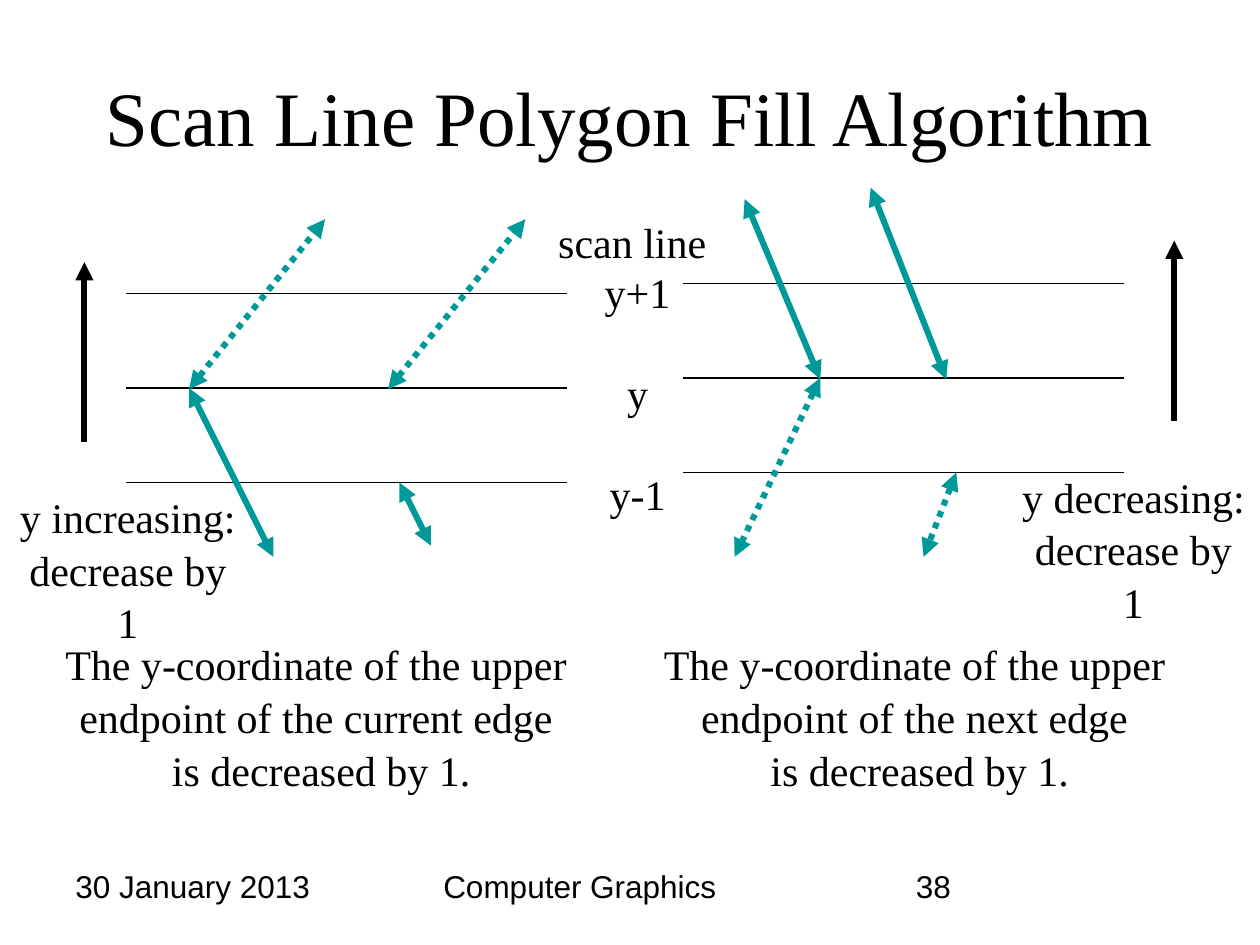
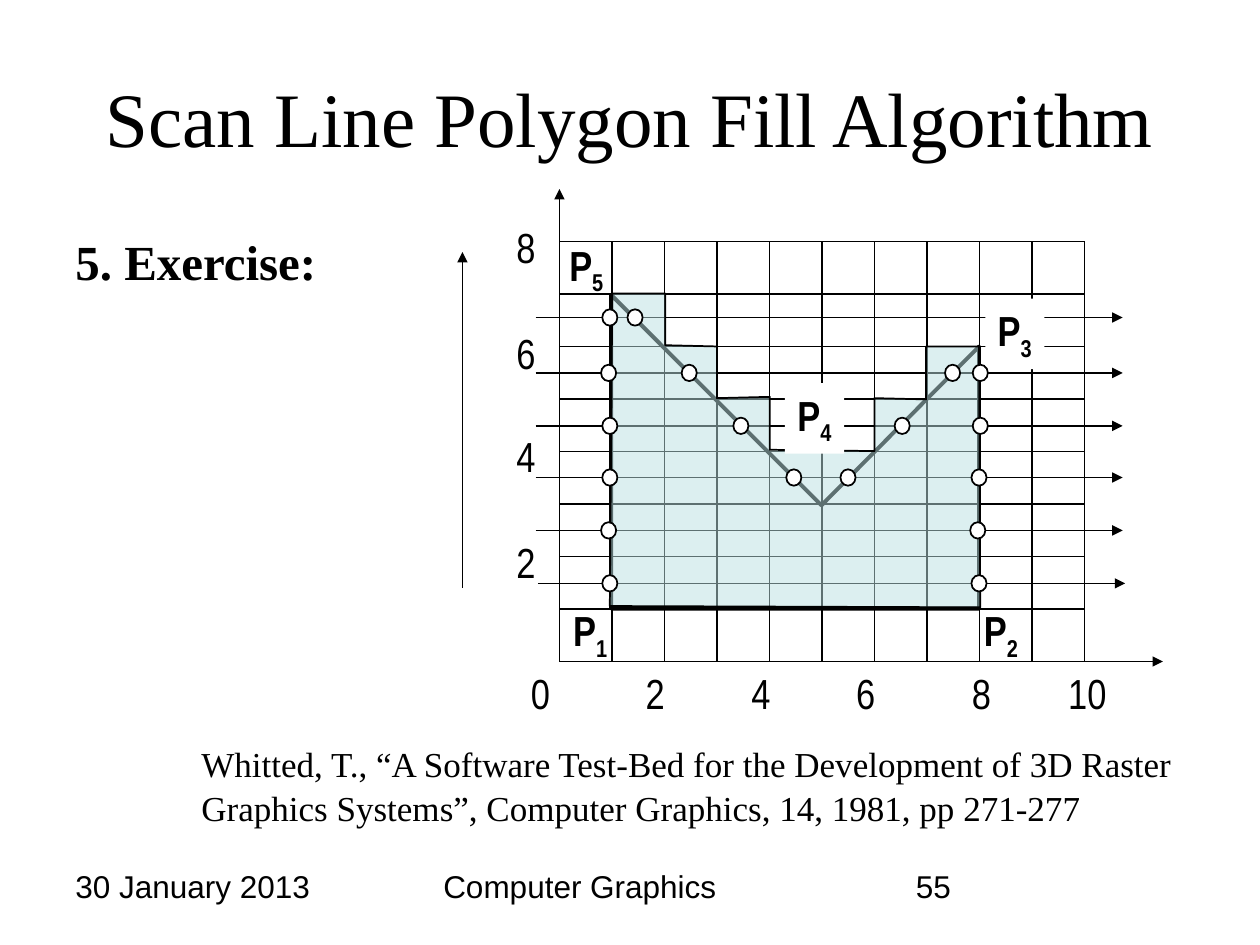
from lxml import etree
from pptx import Presentation
from pptx.dml.color import RGBColor
from pptx.enum.dml import MSO_LINE
from pptx.enum.shapes import MSO_CONNECTOR, MSO_SHAPE
from pptx.enum.text import MSO_ANCHOR, PP_ALIGN
from pptx.oxml.ns import qn
from pptx.util import Inches, Pt

LEFT, CENTER = PP_ALIGN.LEFT, PP_ALIGN.CENTER
DOTTED = MSO_LINE.ROUND_DOT
BLACK = RGBColor(0x00, 0x00, 0x00)
WHITE = RGBColor(0xFF, 0xFF, 0xFF)
TEAL = RGBColor(0x00, 0x99, 0x99)
PALE_TEAL = RGBColor(0xBB, 0xE0, 0xE3)
SERIF, SANS, NARROW = "Times New Roman", "Arial", "Arial Narrow"

# Shared content
TITLE = "Scan Line Polygon Fill Algorithm"
DATE, COURSE = "30 January 2013", "Computer Graphics"

# Slide 1: edges as (from, to, dotted)
SCAN_LINES = [(1, 2.33), (5.42, 2.25)]  # left end of the top line in each half
SCAN_LENGTH, SCAN_GAP = 3.5, 0.75
EDGES = [
    ((1.5, 3.08), (2.17, 4.42), False),
    ((3.17, 3.83), (3.42, 4.33), False),
    ((1.5, 3.09), (2.58, 1.74), True),
    ((3.08, 3.09), (4.17, 1.74), True),
    ((6.51, 3.01), (5.91, 1.58), False),
    ((7.59, 3.75), (7.33, 4.42), True),
    ((6.51, 3), (5.83, 4.42), True),
    ((7.51, 3.01), (6.91, 1.49), False),
]
DIRECTIONS = [((0.67, 3.51), (0.67, 2.08)), ((9.32, 3.34), (9.32, 1.91))]
SCAN_LABELS = [("scan line ", 0), ("y+1", 1), ("y", 3), ("y-1", 5)]
LABEL_TOP, LABEL_PITCH = 1.67, 0.4
NOTES = [
    ("y increasing:\ndecrease by 1", (0.01, 3.83, 2.01, 0.9)),
    ("y decreasing:\ndecrease by 1", (7.99, 3.67, 2.01, 0.9)),
    ("The y-coordinate of the upper \nendpoint of the current edge \n"
     "is decreased by 1.", (0.42, 5, 4.26, 1.3)),
    ("The y-coordinate of the upper \nendpoint of the next edge \n"
     "is decreased by 1.", (5.17, 5, 4.26, 1.3)),
]

# Slide 2
EXERCISE = "5. Exercise:"
CITATION = ("Whitted, T., “A Software Test-Bed for the Development of 3D Raster "
            "Graphics Systems”, Computer Graphics, 14, 1981, pp 271-277")
ORIGIN_X, ORIGIN_Y, COLUMNS, ROWS = 4.44, 5.25, 10, 8
UNIT = 5 / 12
X_LABELS = [("0", 4.29), ("2", 5.2), ("4", 6.04), ("6", 6.87), ("8", 7.79), ("10", 8.63)]
Y_LABELS = [("2", 4.21), ("4", 3.37), ("6", 2.55), ("8", 1.71)]
# Each scan line: height, left end, left edges of its intersection dots
CROSSINGS = [
    (4.63, 4.27, [4.78, 7.71]),
    (4.21, 4.25, [4.77, 7.7]),
    (3.79, 4.25, [4.78, 6.24, 6.67, 7.71]),
    (3.38, 4.25, [4.78, 5.82, 7.1, 7.72]),
    (2.96, 4.25, [4.77, 5.41, 7.5, 7.72]),
    (2.52, 4.25, [4.78, 4.98]),
]
SCAN_ARROW, DOT_W, DOT_H = 4.66, 0.12, 0.13
POLYGON = [(4.85, 4.83), (7.77, 4.83), (7.77, 2.75), (6.52, 4.01), (4.85, 2.34)]
FILLED_AREA = [
    (4.84, 4.81), (4.86, 2.33), (5.28, 2.33), (5.28, 2.74), (5.69, 2.75),
    (5.69, 3.16), (6.11, 3.15), (6.11, 3.57), (6.94, 3.58), (6.94, 3.16),
    (7.35, 3.17), (7.35, 2.75), (7.77, 2.75), (7.78, 4.82),
]
# Vertex labels: index, left, top, fill
VERTICES_BELOW = [("1", 4.45, 4.75, None), ("2", 7.71, 4.75, None), ("3", 7.82, 2.37, WHITE)]
VERTICES_ABOVE = [("4", 6.23, 3.04, WHITE), ("5", 4.42, 1.85, None)]


def add_run(p, text, size, font, bold=False):
    r = p.add_run()
    r.text = text
    r.font.size, r.font.name, r.font.bold = Pt(size), font, bold
    r.font.color.rgb = BLACK
    return r


def add_text(s, text, box, size=24, font=SERIF, align=LEFT, wrap=True, bold=False, spacing=None):
    sp = s.shapes.add_textbox(*map(Inches, box))
    tf = sp.text_frame
    tf.word_wrap = wrap
    p = tf.paragraphs[0]
    p.alignment = align
    if spacing:
        p.line_spacing = spacing
    for i, line in enumerate(text.split("\n")):
        if i:
            p.add_line_break()
        add_run(p, line, size, font, bold)
    return sp


def add_line(s, start, end, width=1, color=BLACK, head=False, tail=False, dotted=False):
    sp = s.shapes.add_connector(MSO_CONNECTOR.STRAIGHT, *map(Inches, (*start, *end)))
    sp.line.width = Pt(width)
    sp.line.color.rgb = color
    if dotted:
        sp.line.dash_style = DOTTED
    ln = sp.line._get_or_add_ln()
    for tag, wanted in (("a:headEnd", head), ("a:tailEnd", tail)):
        if wanted:
            etree.SubElement(ln, qn(tag)).set("type", "triangle")
    etree.SubElement(sp._element.spPr, qn("a:effectLst"))


def style_shape(sp, fill=None, width=1, alpha=None):
    sp.shadow.inherit = False
    sp.line.width = Pt(width)
    sp.line.color.rgb = BLACK
    if fill is None:
        sp.fill.background()
        return
    sp.fill.solid()
    sp.fill.fore_color.rgb = fill
    if alpha:
        color = sp._element.spPr.find(qn("a:solidFill"))[0]
        etree.SubElement(color, qn("a:alpha")).set("val", str(alpha * 1000))


def add_outline(s, points, **style):
    first, *rest = [(Inches(x), Inches(y)) for x, y in points]
    builder = s.shapes.build_freeform(*first)
    builder.add_line_segments(rest, close=True)
    style_shape(builder.convert_to_shape(), **style)


def add_vertex_label(s, index, left, top, fill):
    sp = add_text(s, "P", (left, top, 0.47, 0.56), font=NARROW, wrap=False, bold=True)
    r = add_run(sp.text_frame.paragraphs[0], index, 24, NARROW, bold=True)
    r.font._element.set("baseline", "-25000")
    if fill is not None:
        sp.fill.solid()
        sp.fill.fore_color.rgb = fill


def add_slide(prs, number, title_box):
    s = prs.slides.add_slide(prs.slide_layouts[5])
    title = s.shapes.title
    title.left, title.top, title.width, title.height = map(Inches, title_box)
    tf = title.text_frame
    tf.vertical_anchor = MSO_ANCHOR.MIDDLE
    tf.paragraphs[0].alignment = CENTER
    add_run(tf.paragraphs[0], TITLE, 44, SERIF)
    for text, left, width in ((DATE, 0.5, 2.33), (COURSE, 3.42, 3.16), (number, 7.17, 2.33)):
        add_text(s, text, (left, 6.83, width, 0.51), 18, SANS)
    return s


def build_edge_cases(prs):
    s = add_slide(prs, "38", (0.5, 0.33, 9, 1.17))

    # Scan lines, edges and direction arrows
    for left, top in SCAN_LINES:
        for i in range(3):
            y = top + i * SCAN_GAP
            add_line(s, (left, y), (left + SCAN_LENGTH, y), 0.75)
    for start, end, dotted in EDGES:
        add_line(s, start, end, 3.5, TEAL, head=True, tail=True, dotted=dotted)
    for start, end in DIRECTIONS:
        add_line(s, start, end, 3.5, tail=True)

    # Labels and explanations
    for text, row in SCAN_LABELS:
        add_text(s, text, (4.33, LABEL_TOP + row * LABEL_PITCH, 1.46, 0.5), align=CENTER)
    for text, box in NOTES:
        add_text(s, text, box, align=CENTER, wrap=False, spacing=1.05)


def build_exercise(prs):
    s = add_slide(prs, "55", (0.5, 0.3, 9, 1.25))

    # Grid, with the two axes as longer arrows
    right, top = ORIGIN_X + COLUMNS * UNIT, ORIGIN_Y - ROWS * UNIT
    for i in range(ROWS + 1):
        y = ORIGIN_Y - i * UNIT
        add_line(s, (ORIGIN_X, y), (right if i else 9.23, y), tail=i == 0)
    for i in range(COLUMNS + 1):
        x = ORIGIN_X + i * UNIT
        add_line(s, (x, ORIGIN_Y), (x, top if i else 1.5), tail=i == 0)
    for text, x in X_LABELS:
        add_text(s, text, (x - 0.3, ORIGIN_Y, 0.6, 0.5), font=NARROW, align=CENTER, wrap=False)
    for text, y in Y_LABELS:
        add_text(s, text, (4, y, 0.35, 0.5), font=NARROW, wrap=False)

    # Scan lines, polygon and filled area
    for y, left, _ in CROSSINGS:
        add_line(s, (left, y), (left + SCAN_ARROW, y), tail=True)
    add_outline(s, POLYGON, width=2.25)
    for vertex in VERTICES_BELOW:
        add_vertex_label(s, *vertex)
    add_outline(s, FILLED_AREA, fill=PALE_TEAL, alpha=50)
    for vertex in VERTICES_ABOVE:
        add_vertex_label(s, *vertex)

    # Intersection dots
    for y, _, lefts in CROSSINGS:
        for x in lefts:
            box = map(Inches, (x, y - DOT_H / 2, DOT_W, DOT_H))
            style_shape(s.shapes.add_shape(MSO_SHAPE.OVAL, *box), WHITE)

    # Direction arrow, heading and citation
    add_line(s, (3.67, 2), (3.67, 4.67), head=True)
    add_text(s, CITATION, (1.5, 5.83, 8.25, 0.77), 20, spacing=1.05)
    add_text(s, EXERCISE, (0.5, 1.79, 3, 0.6), 28, bold=True)


def main():
    prs = Presentation()
    prs.slide_width, prs.slide_height = Inches(10), Inches(7.5)
    build_edge_cases(prs)
    build_exercise(prs)
    prs.save("out.pptx")


if __name__ == "__main__":
    main()
